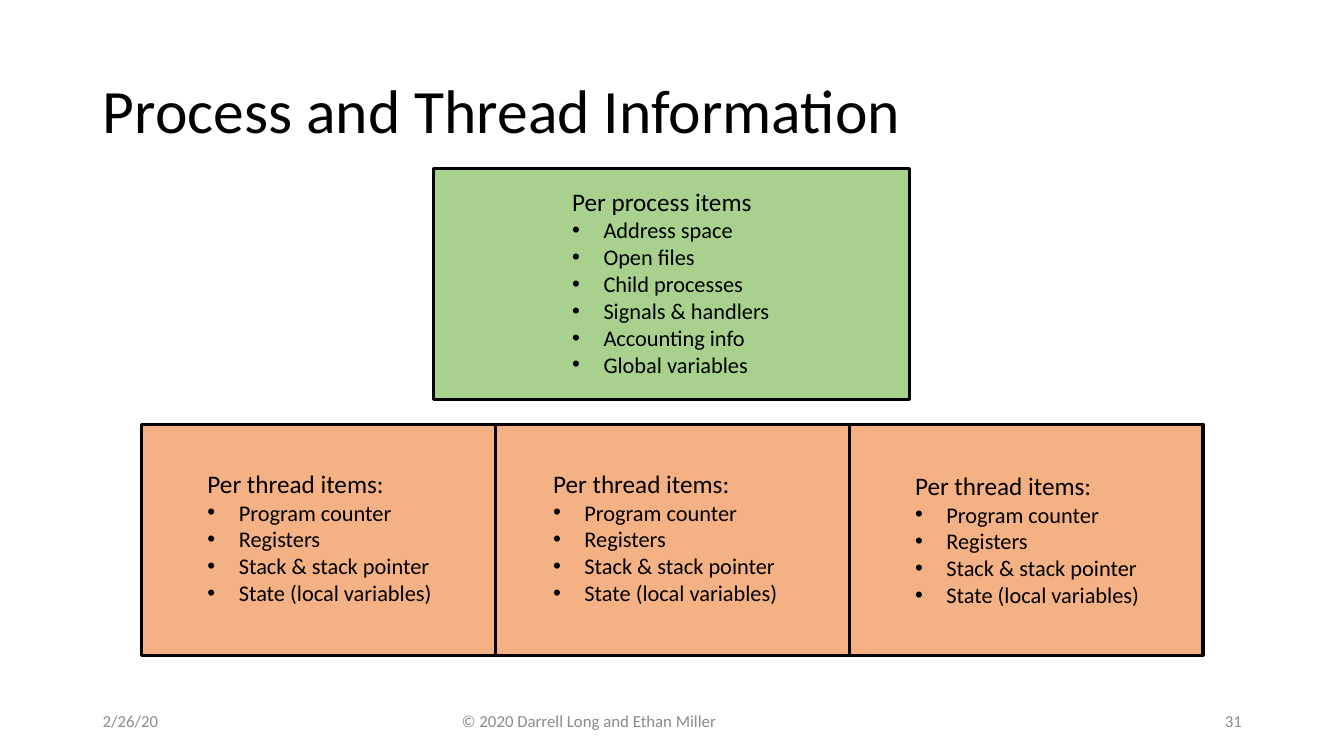
from lxml import etree
from pptx import Presentation
from pptx.dml.color import RGBColor
from pptx.enum.shapes import MSO_SHAPE
from pptx.enum.text import MSO_ANCHOR, MSO_AUTO_SIZE, PP_ALIGN
from pptx.oxml.ns import qn
from pptx.util import Cm, Pt

RECT = MSO_SHAPE.RECTANGLE
MIDDLE, TOP = MSO_ANCHOR.MIDDLE, MSO_ANCHOR.TOP
NO_FIT, GROW = MSO_AUTO_SIZE.NONE, MSO_AUTO_SIZE.SHAPE_TO_FIT_TEXT
LEFT, CENTER, RIGHT = PP_ALIGN.LEFT, PP_ALIGN.CENTER, PP_ALIGN.RIGHT

# Content
TITLE = "Process and Thread Information"
PROCESS = ["Per process items", "Address space", "Open files", "Child processes",
           "Signals & handlers", "Accounting info", "Global variables"]
THREAD = ["Per thread items:", "Program counter", "Registers",
          "Stack & stack pointer", "State (local variables)"]
FOOTERS = [  # text, left, width, alignment, colour
    ("2/26/20", 2.34, 3.45, LEFT, "date"),
    ("© 2020 Darrell Long and Ethan Miller", 7.72, 14.25, CENTER, "footer"),
    ("31", 23.93, 7.62, RIGHT, "date"),
]

# Style and layout, in cm
COLORS = {"text": "000000", "date": "8C8C8C", "footer": "8B8B8B",
          "process": "A9D18E", "thread": "F4B183"}
FONT = "Calibri"
BOX_H = 5.82
PROCESS_LEFT, PROCESS_TOP, PROCESS_W = 10.92, 4.24, 12.01
THREAD_LEFT, THREAD_TOP, THREAD_W = 3.56, 10.69, 8.92
THREAD_TEXTS = [(4.98, 11.68), (13.69, 11.68), (22.81, 11.73)]
INDENT = 0.79


def rgb(name):
    return RGBColor.from_string(COLORS[name])


def style(p, size, color="text", align=LEFT):
    p.alignment = align
    for r in p.runs:
        r.font.name, r.font.size = FONT, Pt(size)
        r.font.color.rgb = rgb(color)


def add_box(left, top, width, color):
    sp = slide.shapes.add_shape(RECT, Cm(left), Cm(top), Cm(width), Cm(BOX_H))
    sp.shadow.inherit = False
    sp.fill.solid()
    sp.fill.fore_color.rgb = rgb(color)
    sp.line.color.rgb = rgb("text")
    sp.line.width = Pt(2.25)


def add_text(lines, left, top, width, height, anchor, fit):
    sp = slide.shapes.add_textbox(Cm(left), Cm(top), Cm(width), Cm(height))
    tf = sp.text_frame
    tf.word_wrap = True
    tf.auto_size = fit
    tf.vertical_anchor = anchor
    tf.text = "\n".join(lines)
    return tf.paragraphs


def add_list(lines, left, top, width, height):
    heading, *items = add_text(lines, left, top, width, height, TOP, GROW)
    style(heading, 18)
    for p in items:
        pPr = p._p.get_or_add_pPr()
        pPr.set("marL", str(Cm(INDENT)))
        pPr.set("indent", str(-Cm(INDENT)))
        etree.SubElement(pPr, qn("a:buFont")).set("typeface", "Arial")
        etree.SubElement(pPr, qn("a:buChar")).set("char", "•")
        style(p, 16)


prs = Presentation()
prs.slide_width, prs.slide_height = Cm(33.87), Cm(19.05)
slide = prs.slides.add_slide(prs.slide_layouts[5])

# Title
title = slide.shapes.title
title.left, title.top, title.width, title.height = Cm(2.34), Cm(1.02), Cm(29.21), Cm(3.68)
tf = title.text_frame
tf.text = TITLE
tf.auto_size = NO_FIT
tf.vertical_anchor = MIDDLE
tf.paragraphs[0].line_spacing = 0.9
style(tf.paragraphs[0], 44)

# Process box above
add_box(PROCESS_LEFT, PROCESS_TOP, PROCESS_W, "process")
add_list(PROCESS, 14.17, 4.57, 7.24, 5.13)

# Row of thread boxes, side by side
for i in range(len(THREAD_TEXTS)):
    add_box(THREAD_LEFT + i * THREAD_W, THREAD_TOP, THREAD_W, "thread")
for left, top in THREAD_TEXTS:
    add_list(THREAD, left, top, 7.34, 3.76)

# Date, copyright and slide number
for text, left, width, align, color in FOOTERS:
    p = add_text([text], left, 17.65, width, 1.02, MIDDLE, NO_FIT)[0]
    style(p, 12, color, align)

prs.save("out.pptx")
